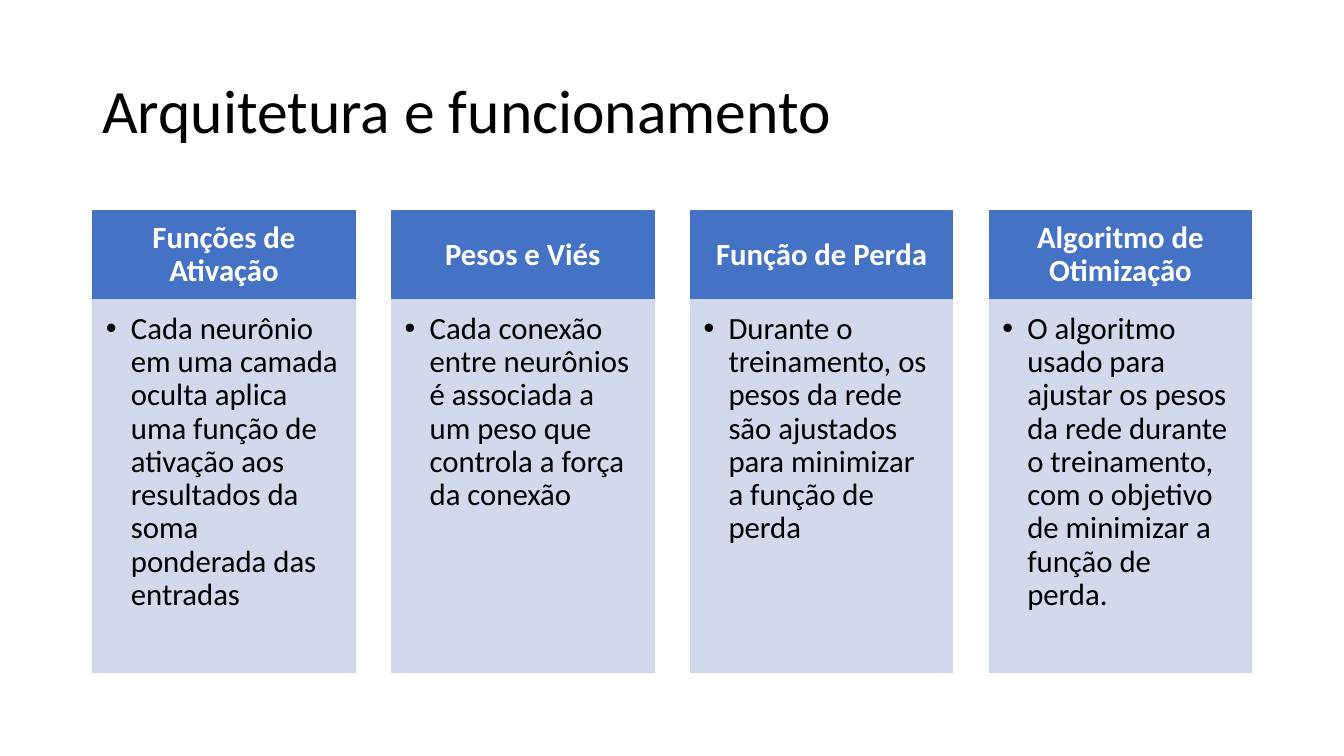
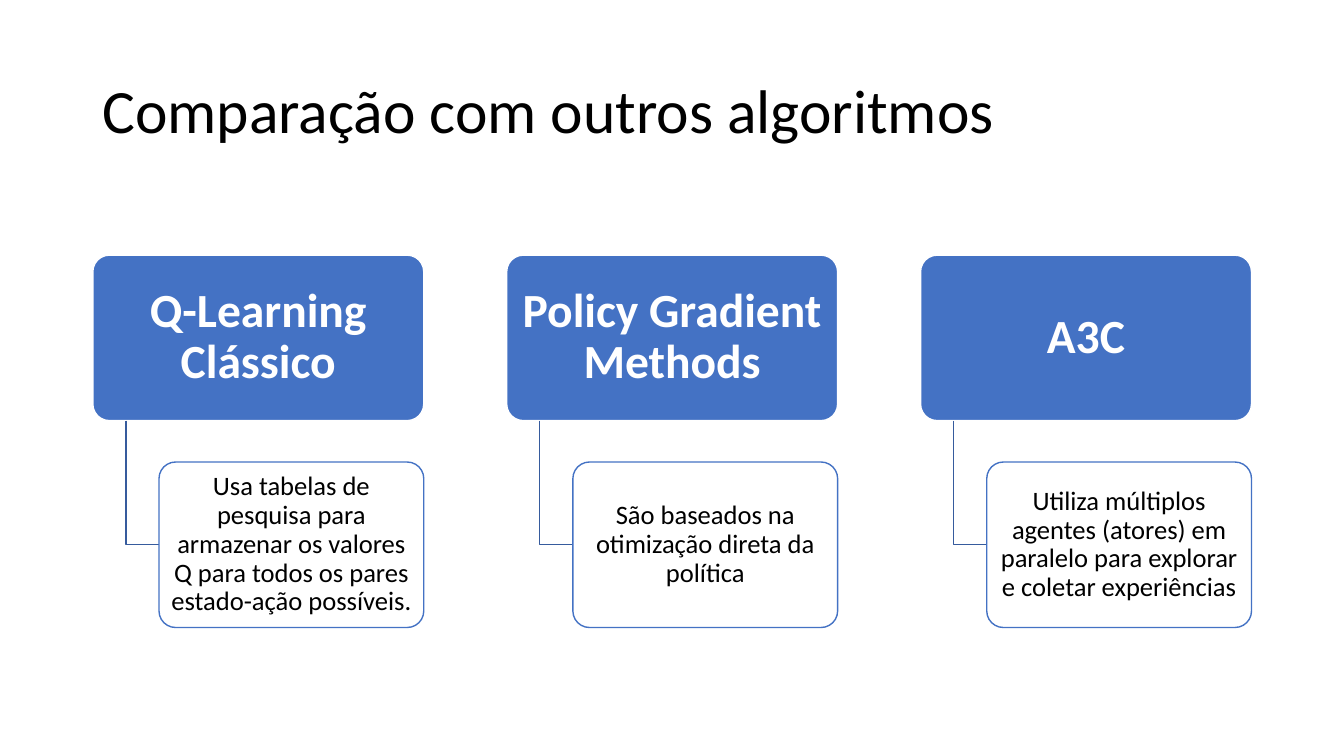
from lxml import etree
from pptx import Presentation
from pptx.dml.color import RGBColor
from pptx.enum.shapes import MSO_SHAPE
from pptx.enum.text import MSO_ANCHOR, PP_ALIGN
from pptx.oxml.ns import qn
from pptx.util import Cm, Pt

RECT, ROUND = MSO_SHAPE.RECTANGLE, MSO_SHAPE.ROUNDED_RECTANGLE
TOP, MIDDLE = MSO_ANCHOR.TOP, MSO_ANCHOR.MIDDLE
LEFT, CENTER = PP_ALIGN.LEFT, PP_ALIGN.CENTER


class Theme:
    font = "Calibri"
    black = RGBColor.from_string("000000")
    white = RGBColor.from_string("FFFFFF")
    blue = RGBColor.from_string("4472C4")
    pale = RGBColor.from_string("CFD5EA")
    link = RGBColor.from_string("365B9D")
    opaque = "90000"
    title = dict(size=Pt(44), bold=False, color=black, align=LEFT,
                 anchor=MIDDLE, pad=(0.25, 0.13, 0.25, 0.13))
    head = dict(size=Pt(22), bold=True, color=white, align=CENTER,
                anchor=MIDDLE, pad=(0.43, 0.25, 0.43, 0.25))
    body = dict(size=Pt(22), bold=False, color=black, align=LEFT,
                anchor=TOP, pad=(0.33, 0.33, 0.43, 0.48))
    card = dict(head, size=Pt(34), pad=(0.17, 0.13, 0.17, 0.13))
    note = dict(card, size=Pt(19), bold=False, color=black,
                pad=(0.1, 0.08, 0.1, 0.08))


def write(shape, text, style):
    """Put one formatted paragraph into a shape and return it."""
    frame = shape.text_frame
    frame.text = text
    frame.word_wrap = True
    frame.vertical_anchor = style["anchor"]
    for side, gap in zip(("left", "top", "right", "bottom"), style["pad"]):
        setattr(frame, "margin_" + side, Cm(gap))
    para = frame.paragraphs[0]
    para.alignment = style["align"]
    para.line_spacing = 0.9
    font = para.runs[0].font
    for key, value in dict(name=Theme.font, size=style["size"],
                           bold=style["bold"]).items():
        setattr(font, key, value)
    font.color.rgb = style["color"]
    return para


def box(slide, kind, area, fill, line, sheer=False):
    """Draw a filled and outlined box; a sheer one lets some light through."""
    shape = slide.shapes.add_shape(kind, *[Cm(n) for n in area])
    shape.shadow.inherit = False
    shape.fill.solid()
    shape.fill.fore_color.rgb = fill
    shape.line.color.rgb = line
    shape.line.width = Pt(1)
    if kind == ROUND:
        shape.adjustments[0] = 0.1
    if sheer:
        tint = shape.fill._xPr.find(qn("a:solidFill"))[0]
        etree.SubElement(tint, qn("a:alpha"), val=Theme.opaque)
    return shape


deck = Presentation()
deck.slide_width, deck.slide_height = Cm(33.87), Cm(19.05)

# Shared title place
layout = deck.slide_layouts[5]
place = dict(left=2.33, top=1.01, width=29.21, height=3.68)
for key, value in place.items():
    setattr(layout.placeholders[0], key, Cm(value))

# Slide 1: four columns
columns = [
    ("Funções de Ativação",
     "Cada neurônio em uma camada oculta aplica uma função de ativação "
     "aos resultados da soma ponderada das entradas"),
    ("Pesos e Viés",
     "Cada conexão entre neurônios é associada a um peso que controla "
     "a força da conexão"),
    ("Função de Perda",
     "Durante o treinamento, os pesos da rede são ajustados para "
     "minimizar a função de perda"),
    ("Algoritmo de Otimização",
     "O algoritmo usado para ajustar os pesos da rede durante o "
     "treinamento, com o objetivo de minimizar a função de perda."),
]
slide = deck.slides.add_slide(layout)
write(slide.shapes.title, "Arquitetura e funcionamento", Theme.title)
top, width, high, deep = 5.31, 6.61, 2.24, 9.4
for i, (head, body) in enumerate(columns):
    x = 2.34 + i * 7.53
    cap = box(slide, RECT, (x, top, width, high), Theme.blue, Theme.blue)
    write(cap, head, Theme.head)
    panel = box(slide, RECT, (x, top + high, width, deep),
                Theme.pale, Theme.pale, True)
    props = write(panel, body, Theme.body)._p.get_or_add_pPr()
    props.set("marL", str(Cm(0.63)))
    props.set("indent", str(Cm(-0.63)))
    etree.SubElement(props, qn("a:buFont"), typeface="Arial")
    etree.SubElement(props, qn("a:buChar"), char="•")

# Slide 2: three cards, each with a hanging note
cards = [
    ("Q-Learning Clássico",
     "Usa tabelas de pesquisa para armazenar os valores Q para todos os "
     "pares estado-ação possíveis."),
    ("Policy Gradient Methods",
     "São baseados na otimização direta da política"),
    ("A3C",
     "Utiliza múltiplos agentes (atores) em paralelo para explorar e "
     "coletar experiências"),
]
slide = deck.slides.add_slide(layout)
write(slide.shapes.title, "Comparação com outros algoritmos", Theme.title)
top, width, high = 6.43, 8.34, 4.17
step = width / 5
drop = top + high * 1.25
for i, (head, body) in enumerate(cards):
    x = 2.34 + i * 10.43
    card = box(slide, ROUND, (x, top, width, high), Theme.blue, Theme.white)
    write(card, head, Theme.card)

    # Elbow from card to note
    mid = drop + high / 2
    pen = slide.shapes.build_freeform(Cm(x + step / 2), Cm(top + high))
    pen.add_line_segments([(Cm(x + step / 2), Cm(mid)),
                           (Cm(x + step), Cm(mid))], close=False)
    elbow = pen.convert_to_shape()
    elbow.shadow.inherit = False
    elbow.fill.background()
    elbow.line.color.rgb = Theme.link
    elbow.line.width = Pt(1)

    note = box(slide, ROUND, (x + step, drop, width * 0.8, high),
               Theme.white, Theme.blue, True)
    write(note, body, Theme.note)

deck.save("out.pptx")
